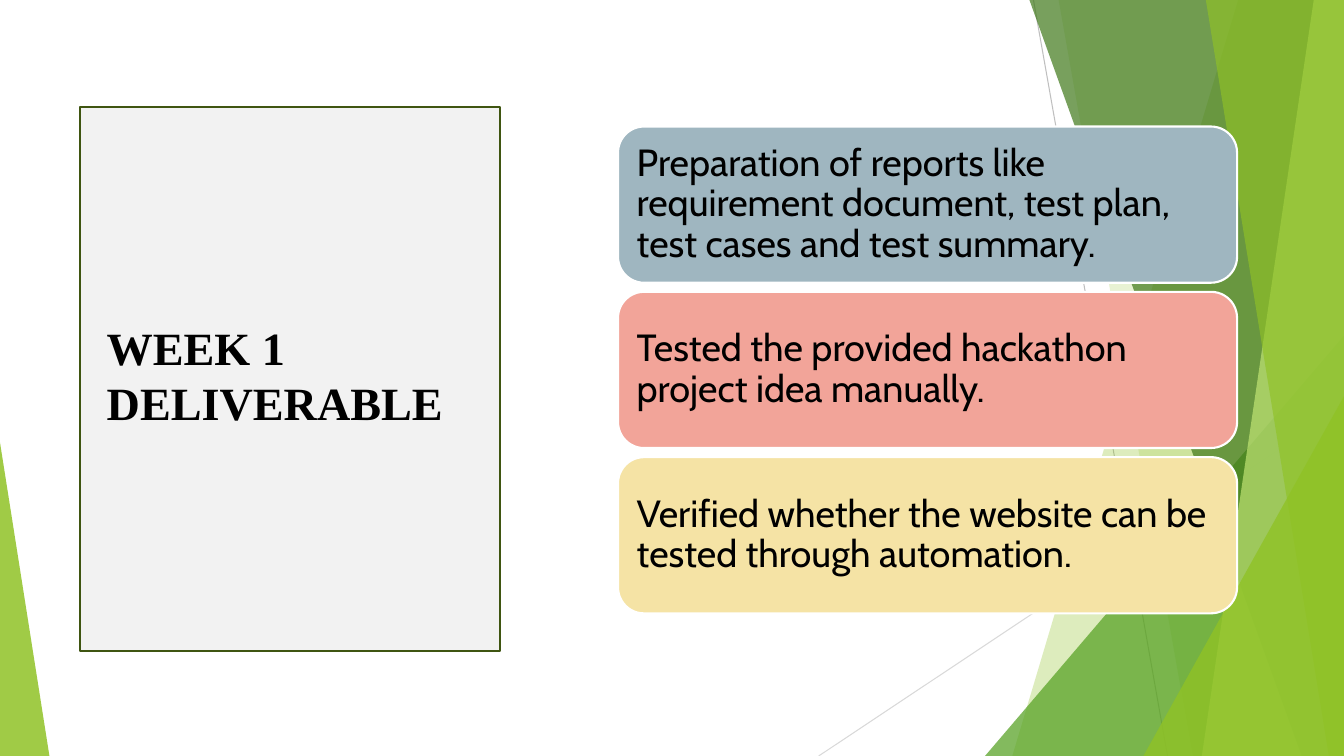
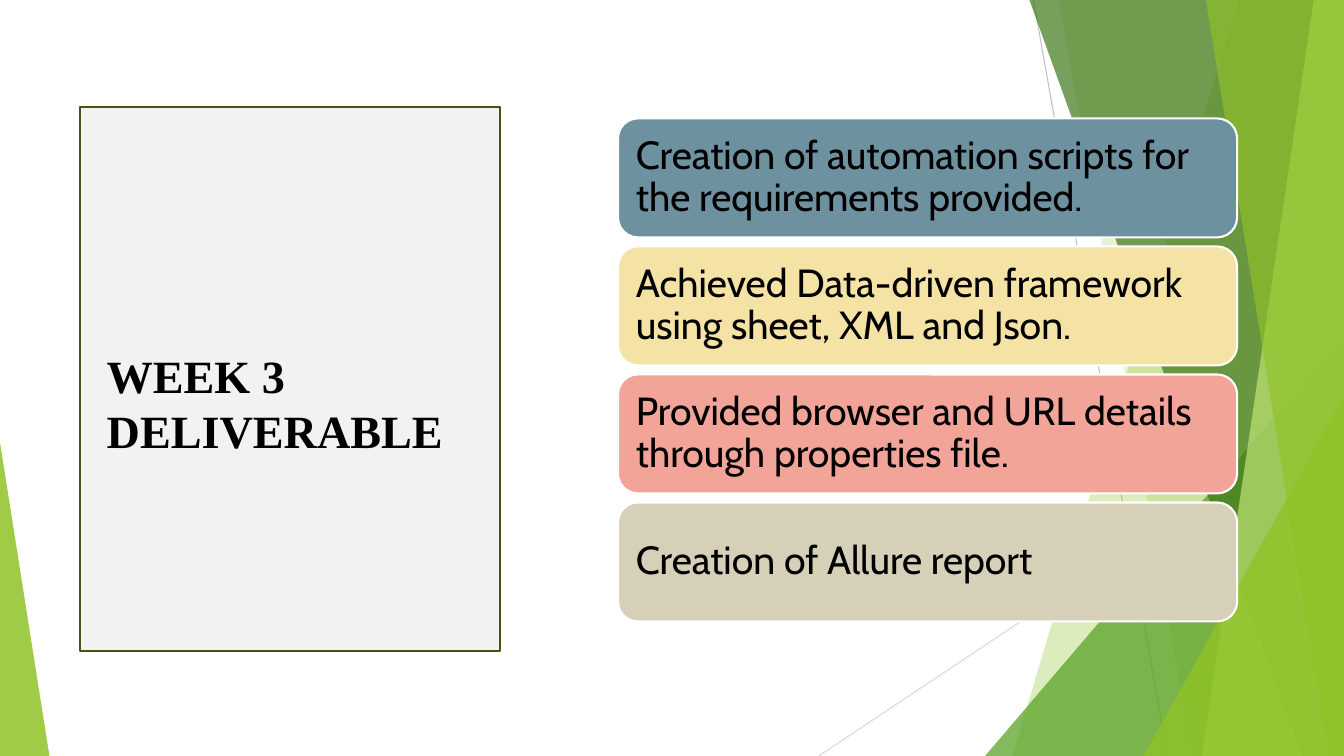
from dataclasses import dataclass

from lxml.etree import SubElement
from pptx import Presentation
from pptx.dml.color import RGBColor
from pptx.enum.shapes import MSO_CONNECTOR, MSO_SHAPE
from pptx.enum.text import MSO_ANCHOR, PP_ALIGN
from pptx.oxml.ns import qn
from pptx.util import Inches, Pt

WIDTH, HEIGHT = 13.33, 7.5


@dataclass(frozen=True)
class Theme:
    # Colours
    text: str = "000000"
    white: str = "FFFFFF"
    panel: str = "F2F2F2"
    panel_line: str = "3F5511"
    line_dark: str = "BFBFBF"
    line_light: str = "D9D9D9"
    lime: str = "90C226"
    pale_lime: str = "C0E474"
    green: str = "54A021"
    forest: str = "3F7819"
    mist: str = "9FB6C0"
    slate: str = "6E91A0"
    coral: str = "F2A499"
    butter: str = "F5E3A5"
    sand: str = "D6D0B8"
    # Type and lines
    title_font: str = "Times New Roman"
    body_font: str = "Cabin"
    title_size: int = 33
    outline: float = 1.5
    hairline: float = 0.75


class Deck:
    """Holds the theme and the slide being built."""

    def __init__(self, theme):
        self.theme = theme
        self.presentation = Presentation()
        self.presentation.slide_width = Inches(WIDTH)
        self.presentation.slide_height = Inches(HEIGHT)
        self.slide = None

    def new_slide(self):
        layout = self.presentation.slide_layouts[6]
        self.slide = self.presentation.slides.add_slide(layout)
        self.backdrop()

    def paint(self, shape, fill, opacity=100, line=None):
        shape.shadow.inherit = False
        shape.fill.solid()
        shape.fill.fore_color.rgb = RGBColor.from_string(fill)
        if opacity < 100:
            color = shape._element.spPr.find(qn("a:solidFill"))[0]
            SubElement(color, qn("a:alpha"), val=str(opacity * 1000))
        if line:
            shape.line.color.rgb = RGBColor.from_string(line)
            shape.line.width = Pt(self.theme.outline)
        else:
            shape.line.fill.background()

    def shape(self, kind, left, top, width, height, fill, opacity=100, line=None):
        shape = self.slide.shapes.add_shape(
            kind, Inches(left), Inches(top), Inches(width), Inches(height))
        self.paint(shape, fill, opacity, line)
        return shape

    def set_text(self, shape, text, font, size, bold=False, spacing=1.0):
        frame = shape.text_frame
        frame.word_wrap = True
        frame.vertical_anchor = MSO_ANCHOR.MIDDLE
        frame.text = text
        paragraph = frame.paragraphs[0]
        paragraph.alignment = PP_ALIGN.LEFT
        paragraph.line_spacing = spacing
        for run in paragraph.runs:
            run.font.name = font
            run.font.size = Pt(size)
            run.font.bold = bold
            run.font.color.rgb = RGBColor.from_string(self.theme.text)

    def hairline(self, start, end, color):
        connector = self.slide.shapes.add_connector(
            MSO_CONNECTOR.STRAIGHT, *map(Inches, (*start, *end)))
        connector.line.color.rgb = RGBColor.from_string(color)
        connector.line.width = Pt(self.theme.hairline)
        SubElement(connector._element.spPr, qn("a:effectLst"))

    def band(self, top_x, bottom_x, fill, opacity):
        """Full-height band from a slanted left side to the right edge."""
        corners = [(WIDTH, 0), (WIDTH, HEIGHT), (bottom_x, HEIGHT)]
        builder = self.slide.shapes.build_freeform(Inches(top_x), 0)
        builder.add_line_segments([(Inches(x), Inches(y)) for x, y in corners])
        self.paint(builder.convert_to_shape(), fill, opacity)

    def wedge(self, left, top, width, apex, fill, opacity):
        """Right-angled triangle standing on the bottom edge."""
        shape = self.shape(MSO_SHAPE.ISOSCELES_TRIANGLE, left, top, width,
                           HEIGHT - top, fill, opacity)
        shape.adjustments[0] = apex

    def backdrop(self):
        theme = self.theme
        self.hairline((10.25, 0), (11.58, HEIGHT), theme.line_dark)
        self.hairline((WIDTH, 4.03), (8.12, HEIGHT), theme.line_light)
        self.band(12.28, 10.04, theme.lime, 30)
        self.band(10.5, 11.83, theme.lime, 20)
        self.wedge(9.77, 3.33, 3.56, 1, theme.green, 72)
        self.band(10.21, 12.91, theme.forest, 70)
        self.band(13.03, 11.92, theme.pale_lime, 70)
        self.band(11.96, 13.18, theme.lime, 65)
        self.wedge(11.34, 3.93, 1.99, 1, theme.lime, 80)
        self.wedge(0, 4.39, 0.49, 0, theme.lime, 85)

    def title_panel(self, text, drop=0):
        theme = self.theme
        self.shape(MSO_SHAPE.RECTANGLE, 0.79, 1.06, 4.17, 5.4,
                   theme.panel, line=theme.panel_line)
        box = self.slide.shapes.add_textbox(
            Inches(0.96), Inches(1.16 + drop), Inches(3.83), Inches(5.11))
        self.set_text(box, text, theme.title_font, theme.title_size, bold=True)

    def card_stack(self, cards, height, size, margin):
        """Equal cards, centred as a stack around one height."""
        gap, middle = 0.09, 3.67
        pitch = height + gap
        top = middle - (len(cards) * pitch - gap) / 2
        for index, (text, fill) in enumerate(cards):
            card = self.shape(MSO_SHAPE.ROUNDED_RECTANGLE, 6.13, top + index * pitch,
                              6.14, height, fill, line=self.theme.white)
            frame = card.text_frame
            frame.margin_left = frame.margin_right = Inches(margin)
            frame.margin_top = frame.margin_bottom = Inches(margin)
            self.set_text(card, text, self.theme.body_font, size, spacing=0.9)


def main():
    theme = Theme()
    deck = Deck(theme)

    # Week 1
    deck.new_slide()
    deck.title_panel("WEEK 1 DELIVERABLE")
    deck.card_stack([
        ("Preparation of reports like requirement document, test plan, "
         "test cases and test summary.", theme.mist),
        ("Tested the provided hackathon project idea manually.", theme.coral),
        ("Verified whether the website can be tested through automation.",
         theme.butter),
    ], height=1.55, size=27, margin=0.11)

    # Week 3
    deck.new_slide()
    deck.title_panel("WEEK 3 DELIVERABLE", drop=0.28)
    deck.card_stack([
        ("Creation of automation scripts for the requirements provided.",
         theme.slate),
        ("Achieved Data-driven framework using sheet, XML and Json.",
         theme.butter),
        ("Provided browser and URL details through properties file.",
         theme.coral),
        ("Creation of Allure report", theme.sand),
    ], height=1.18, size=28, margin=0.12)

    deck.presentation.save("out.pptx")


if __name__ == "__main__":
    main()
